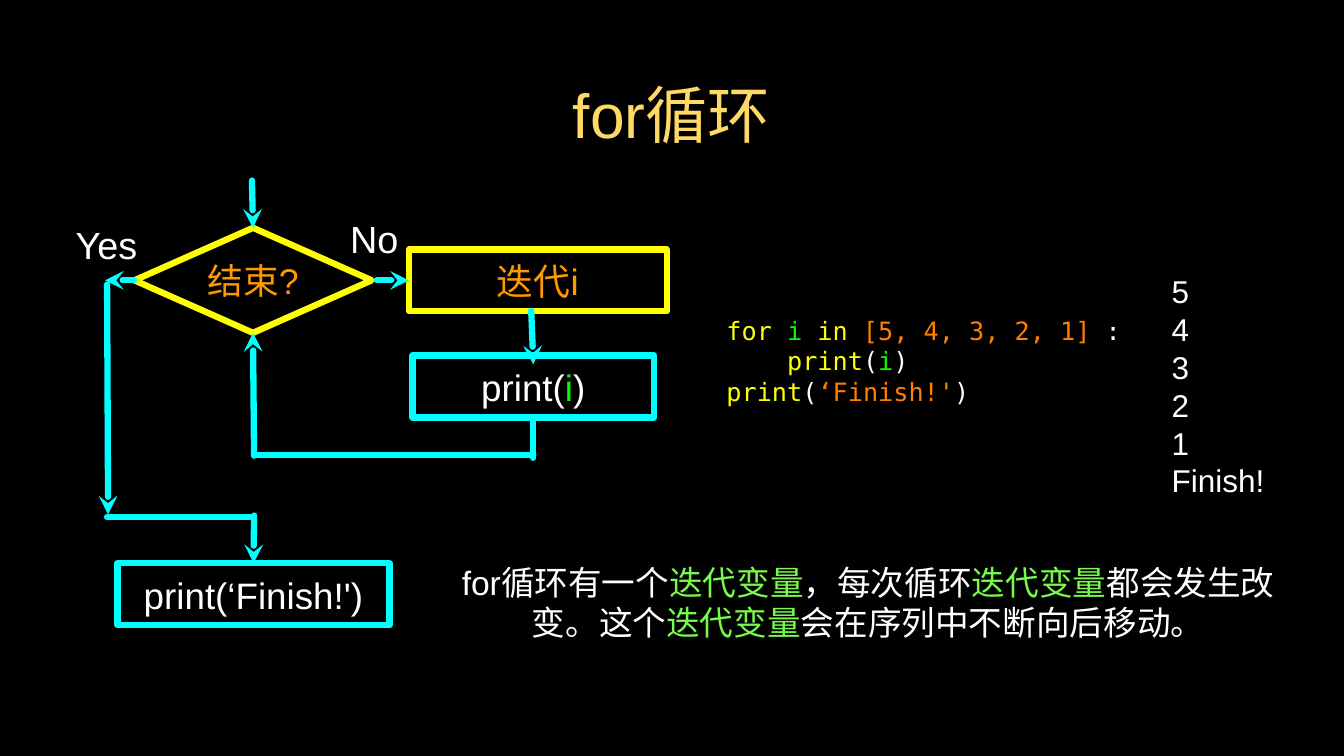
from lxml import etree
from pptx import Presentation
from pptx.dml.color import RGBColor
from pptx.enum.shapes import MSO_CONNECTOR, MSO_SHAPE
from pptx.enum.text import MSO_ANCHOR, PP_ALIGN
from pptx.oxml.ns import qn
from pptx.util import Pt

STRAIGHT = MSO_CONNECTOR.STRAIGHT
RECT, DIAMOND = MSO_SHAPE.RECTANGLE, MSO_SHAPE.DIAMOND
MIDDLE = MSO_ANCHOR.MIDDLE
LEFT, CENTER = PP_ALIGN.LEFT, PP_ALIGN.CENTER
TOP, WEST, BOTTOM = 0, 1, 2

COLORS = {
    "black": "000000", "white": "FFFFFF", "gold": "FFD966", "yellow": "FFFF00",
    "cyan": "00FFFF", "amber": "FF9900", "orange": "FF7F00", "green": "00FF00",
    "lime": "77FB4B",
}


def color(name):
    return RGBColor.from_string(COLORS[name])


class Board:
    """Draws text, boxes and lines in one style on the current slide."""

    font = "Arial"
    mono = "DejaVu Sans Mono"
    weight = 6

    def __init__(self, slide):
        self.slide = slide
        fill = slide.background.fill
        fill.solid()
        fill.fore_color.rgb = color("black")

    def label(self, shape, lines, size, align=CENTER, font=font):
        frame = shape.text_frame
        frame.word_wrap = True
        frame.vertical_anchor = MIDDLE
        frame.margin_left = frame.margin_right = 0
        frame.margin_top = frame.margin_bottom = 0
        frame.text = "\n".join("" for _ in lines)
        for para, parts in zip(frame.paragraphs, lines):
            para.alignment = align
            for text, tint in parts:
                run = para.add_run()
                run.text = text
                run.font.name = font
                run.font.size = Pt(size)
                run.font.color.rgb = color(tint)

    def text(self, area, lines, size, align=CENTER, font=font):
        box = self.slide.shapes.add_textbox(*map(Pt, area))
        self.label(box, lines, size, align, font)

    def box(self, kind, area, tint, parts, size=35):
        shape = self.slide.shapes.add_shape(kind, *map(Pt, area))
        shape.shadow.inherit = False
        shape.fill.background()
        shape.line.color.rgb = color(tint)
        shape.line.width = Pt(self.weight)
        self.label(shape, [parts], size)
        return shape

    def line(self, start, end, arrow=True, source=None, target=None):
        link = self.slide.shapes.add_connector(STRAIGHT, *map(Pt, start + end))
        link.line.color.rgb = color("cyan")
        link.line.width = Pt(self.weight)
        stroke = link._element.spPr.find(qn("a:ln"))
        stroke.set("cap", "rnd")
        if arrow:
            etree.SubElement(stroke, qn("a:tailEnd"), type="stealth")
        etree.SubElement(link._element.spPr, qn("a:effectLst"))
        if source:
            link.begin_connect(*source)
        if target:
            link.end_connect(*target)


def main():
    deck = Presentation()
    deck.slide_width, deck.slide_height = Pt(1280.16), Pt(720)
    board = Board(deck.slides.add_slide(deck.slide_layouts[6]))

    board.text((91, 64, 1097, 89), [[("for循环", "gold")]], 59.3)

    code = [
        [("for ", "yellow"), ("i ", "green"), ("in ", "yellow"),
         ("[5, 4, 3, 2, 1] ", "orange"), (":", "white")],
        [("    ", "white"), ("print", "yellow"), ("(", "white"),
         ("i", "green"), (")", "white")],
        [("print", "yellow"), ("(", "white"), ("‘Finish!'", "orange"), (")", "white")],
    ]
    board.text((692, 300, 402, 87), code, 24, LEFT, board.mono)
    result = [[(word, "white")] for word in ("5", "4", "3", "2", "1", "Finish!")]
    board.text((1116, 266, 131, 203), result, 30, LEFT)

    check = board.box(DIAMOND, (128, 217, 226, 100), "yellow", [("结束?", "amber")], 34)
    step = board.box(RECT, (389.5, 237.5, 245.5, 59), "yellow", [("迭代i", "amber")])
    body = board.box(RECT, (393, 338.5, 230, 59), "cyan",
                     [("print(", "white"), ("i", "green"), (")", "white")])
    done = board.box(RECT, (112, 536.5, 259, 59), "cyan", [("print(‘Finish!')", "white")])

    board.line((240, 172), (241, 217), target=(check, TOP))
    board.line((359, 267), (389.5, 267), target=(step, WEST))
    board.line((506, 296), (508, 347))
    board.line((508, 397.5), (508, 436), False, source=(body, BOTTOM))
    board.line((508, 433.5), (242, 433.5), False)
    board.line((242, 434), (241, 317), target=(check, BOTTOM))
    board.line((128, 267), (100, 267), source=(check, WEST))
    board.line((102, 271), (103, 490))
    board.line((102, 492.5), (241, 492.5), False)
    board.line((242, 491), (241.5, 536.5), target=(done, TOP))

    board.text((55, 212, 93, 41), [[("Yes", "white")]], 36)
    board.text((328, 207, 57, 41), [[("No", "white")]], 36)

    note = [
        ("for循环有一个", "white"), ("迭代变量", "lime"), ("，每次循环", "white"),
        ("迭代变量", "lime"), ("都会发生改变。这个", "white"), ("迭代变量", "lime"),
        ("会在序列中不断向后移动。", "white"),
    ]
    board.text((428, 528, 798, 91), [note], 32)
    deck.save("out.pptx")


if __name__ == "__main__":
    main()
